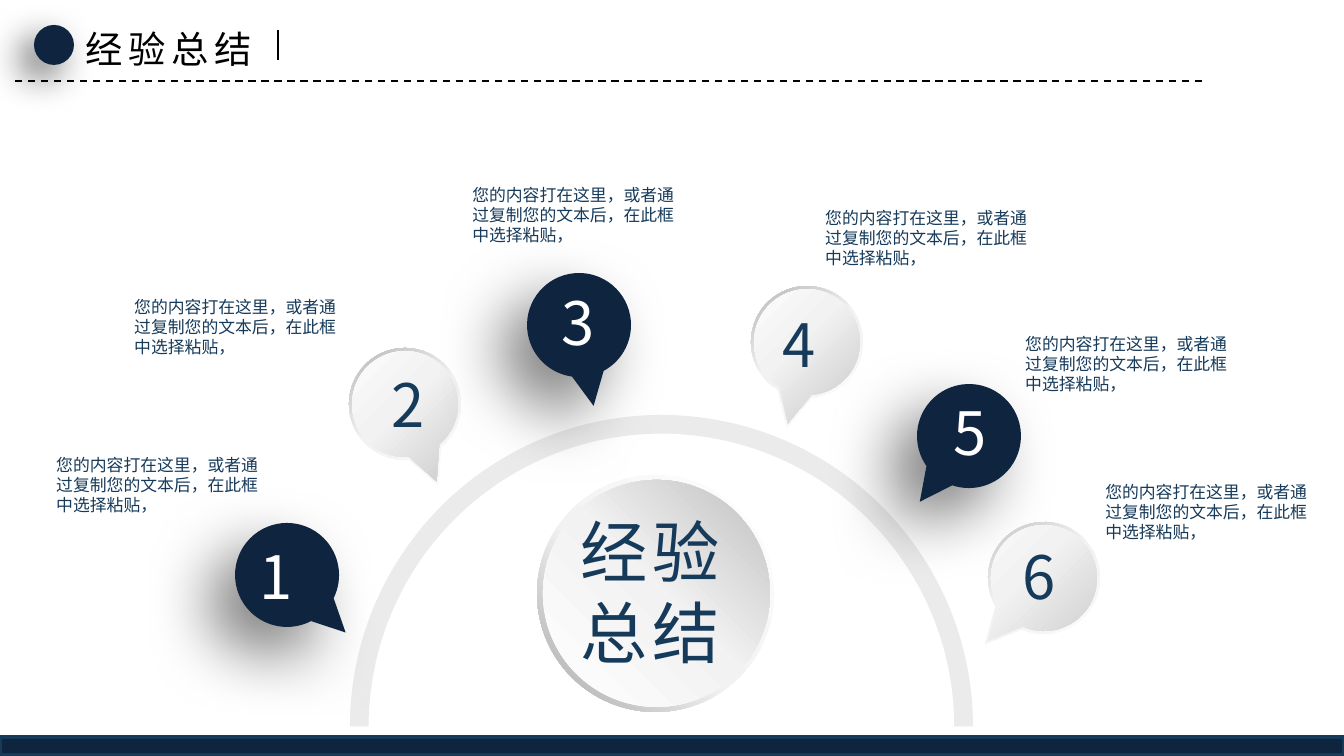
from dataclasses import dataclass
from math import cos, radians, sin, tan

from lxml.etree import SubElement
from pptx import Presentation
from pptx.dml.color import RGBColor
from pptx.enum.dml import MSO_LINE
from pptx.enum.shapes import MSO_CONNECTOR, MSO_SHAPE
from pptx.enum.text import MSO_AUTO_SIZE
from pptx.oxml.ns import qn
from pptx.util import Pt

PX = 914400 / 134.4
NAVY, BLUE, WHITE, BLACK = "0F243E", "163A5A", "FFFFFF", "000000"
CJK, LATIN = "Noto Sans CJK SC", "Roboto"
TITLE = "经验总结"
CAPTION = "您的内容打在这里，或者通过复制您的文本后，在此框中选择粘贴，"
TIP = 1.58
ARC = (18, 90, 180, 270, 342)


@dataclass
class Gradient:
    stops: tuple
    angle: int


@dataclass
class Shadow:
    alpha: int
    blur: int
    dist: int


@dataclass
class Bubble:
    cx: int
    cy: int
    rotation: float
    dark: bool
    number_at: tuple
    caption_at: tuple


RIM = ((0, WHITE), (55, "F2F2F2"), (100, "A6A6A6"))
FACE = ((0, WHITE), (43, "F2F2F2"), (100, "BFBFBF"))
DISC = ((0, WHITE), (51, "F2F2F2"), (100, "BFBFBF"))

BUBBLES = [
    Bubble(287, 575, 134.5, True, (246, 533), (43, 448)),
    Bubble(405, 404, 157.8, False, (378, 361), (121, 290)),
    Bubble(579, 325, 169.8, True, (548, 279), (459, 178)),
    Bubble(807, 342, 193.2, False, (769, 301), (812, 201)),
    Bubble(969, 436, 216.8, True, (940, 389), (1012, 327)),
    Bubble(1044, 578, 221.7, False, (1009, 533), (1092, 475)),
]


def emu(px: float) -> int:
    return round(px * PX)


def rgb(color: str) -> RGBColor:
    return RGBColor.from_string(color)


def add_color(parent, color: str):
    return SubElement(parent, qn("a:srgbClr"), val=color)


def paint(sp, fill, shadow: Shadow | None = None) -> None:
    sp.line.fill.background()
    sp.shadow.inherit = False
    if isinstance(fill, Gradient):
        sp.fill.gradient()
        grad = sp._element.spPr.find(qn("a:gradFill"))
        grad.set("rotWithShape", "0")
        for child in list(grad):
            grad.remove(child)
        stops = SubElement(grad, qn("a:gsLst"))
        for pos, color in fill.stops:
            add_color(SubElement(stops, qn("a:gs"), pos=str(pos * 1000)), color)
        SubElement(grad, qn("a:lin"), ang=str(fill.angle * 60000), scaled="0")
    else:
        sp.fill.solid()
        sp.fill.fore_color.rgb = rgb(fill)
    if shadow:
        effects = sp._element.spPr.find(qn("a:effectLst"))
        outer = SubElement(
            effects, qn("a:outerShdw"), blurRad=str(Pt(shadow.blur)),
            dist=str(Pt(shadow.dist)), dir=str(135 * 60000), algn="tr", rotWithShape="0")
        SubElement(add_color(outer, BLACK), qn("a:alpha"), val=str(shadow.alpha * 1000))


def add_preset(s, kind, x: int, y: int, w: int, h: int, fill, shadow=None):
    sp = s.shapes.add_shape(kind, emu(x), emu(y), emu(w), emu(h))
    paint(sp, fill, shadow)
    return sp


def add_rule(s, x1: int, y1: int, x2: int, y2: int, width: float):
    line = s.shapes.add_connector(
        MSO_CONNECTOR.STRAIGHT, emu(x1), emu(y1), emu(x2), emu(y2))
    line.line.color.rgb = rgb(BLACK)
    line.line.width = Pt(width)
    SubElement(line._element.spPr, qn("a:effectLst"))
    return line


def add_text(s, text: str, x: int, y: int, w: int, h: int, *, size: int,
             color: str, font: str = CJK, spacing: int = 0, wrap: bool = True) -> None:
    tf = s.shapes.add_textbox(emu(x), emu(y), emu(w), emu(h)).text_frame
    tf.word_wrap = wrap
    tf.auto_size = MSO_AUTO_SIZE.SHAPE_TO_FIT_TEXT
    r = tf.paragraphs[0].add_run()
    r.text = text
    r.font.size = Pt(size)
    r.font.color.rgb = rgb(color)
    r.font.name = font
    rPr = r._r.get_or_add_rPr()
    SubElement(rPr, qn("a:ea"), typeface=font)
    if spacing:
        rPr.set("spc", str(spacing * 100))


def polar(x: float, y: float, angle: float, reach: float) -> tuple[float, float]:
    a = radians(angle)
    return x + reach * sin(a), y - reach * cos(a)


def round_corners(path, radius: int, reaches: list) -> None:
    edges = path.findall(qn("a:lnTo"))
    for c, reach in enumerate(reaches):
        curves = edges[c * len(ARC) + 1:(c + 1) * len(ARC)]
        for edge, a, b in zip(curves, ARC, ARC[1:]):
            pull = reach * 4 / 3 * tan(radians(b - a) / 4)
            start = polar(radius, radius * TIP, a, reach)
            end = polar(radius, radius * TIP, b, reach)
            curve = path.makeelement(qn("a:cubicBezTo"))
            for x, y in (polar(*start, a + 90, pull), polar(*end, b - 90, pull), end):
                SubElement(curve, qn("a:pt"), x=str(emu(x)), y=str(emu(y)))
            path.replace(edge, curve)


def add_drop(s, b: Bubble, radius: int, fill, shadow=None, hole: int = 0) -> None:
    middle = radius * (TIP - 1) / 2
    x, y = polar(b.cx, b.cy, b.rotation, middle)
    y += middle
    outlines = [(radius, TIP)] + ([(hole, 1.2)] if hole else [])
    builder = s.shapes.build_freeform(*map(emu, polar(x, y, 0, radius * TIP)))
    for i, (reach, tip) in enumerate(outlines):
        if i:
            builder.move_to(*map(emu, polar(x, y, 0, reach * tip)))
        builder.add_line_segments(
            [tuple(map(emu, polar(x, y, a, reach))) for a in ARC])
    sp = builder.convert_to_shape()
    path = sp._element.spPr.find(".//" + qn("a:path"))
    round_corners(path, radius, [reach for reach, _ in outlines])
    sp.rotation = b.rotation
    paint(sp, fill, shadow)


def add_bubble(s, b: Bubble) -> None:
    if b.dark:
        add_drop(s, b, 52, NAVY, Shadow(50, 35, 20))
    else:
        add_drop(s, b, 56, Gradient(RIM, 235), hole=49)
        add_drop(s, b, 53, Gradient(FACE, 45))


def main() -> None:
    prs = Presentation()
    prs.slide_width, prs.slide_height = emu(1344), emu(756)
    s = prs.slides.add_slide(prs.slide_layouts[6])

    arc = add_preset(s, MSO_SHAPE.BLOCK_ARC, 350, 415, 623, 623, "EBEBEB")
    for i, value in enumerate((108, 0, 0.03)):
        arc.adjustments[i] = value
    for b in BUBBLES:
        add_bubble(s, b)

    ring = add_preset(s, MSO_SHAPE.DONUT, 537, 475, 237, 237, Gradient(RIM, 135))
    ring.adjustments[0] = 0.05
    add_preset(s, MSO_SHAPE.OVAL, 543, 480, 227, 227, Gradient(DISC, 315))
    add_text(s, TITLE, 567, 504, 200, 176, size=36, color=BLUE, spacing=3)

    add_rule(s, 15, 81, 1207, 81, 1).line.dash_style = MSO_LINE.DASH
    add_preset(s, MSO_SHAPE.OVAL, 34, 25, 40, 40, NAVY, Shadow(60, 20, 10))
    add_text(s, TITLE, 72, 20, 200, 59, size=20, color=BLACK, spacing=3, wrap=False)
    add_rule(s, 278, 30, 278, 60, 1.5)

    for number, b in enumerate(BUBBLES, 1):
        add_text(s, str(number), *b.number_at, 66, 86, size=32,
                 color=WHITE if b.dark else BLUE, wrap=False)
        add_text(s, CAPTION, *b.caption_at, 230, 75, size=9, color=BLUE, font=LATIN)

    bar = add_preset(s, MSO_SHAPE.RECTANGLE, 0, 737, 1344, 18, NAVY)
    bar.line.color.rgb = rgb(BLUE)
    bar.line.width = Pt(2)
    prs.save("out.pptx")


if __name__ == "__main__":
    main()
